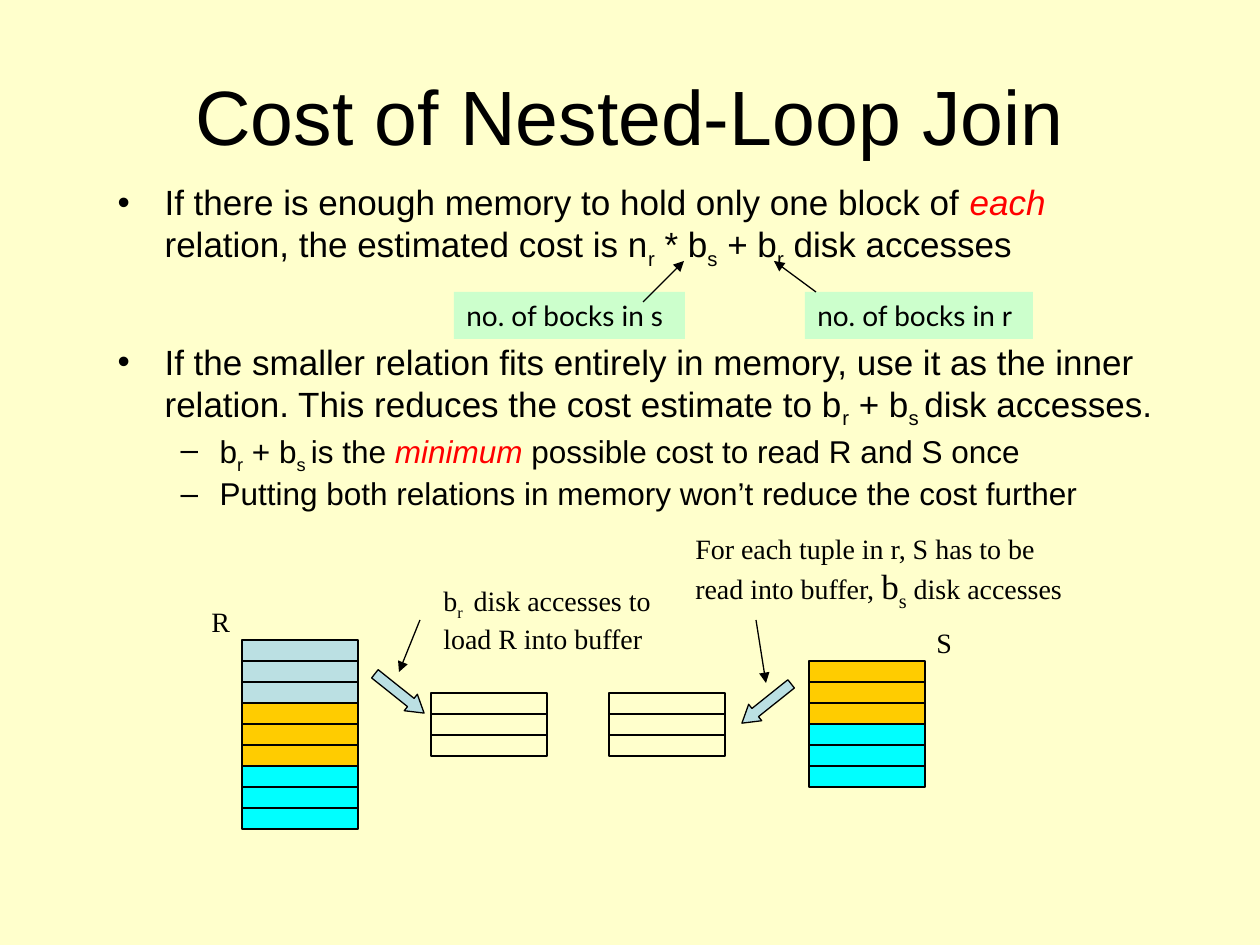
from lxml import etree
from pptx import Presentation
from pptx.dml.color import RGBColor
from pptx.enum.shapes import MSO_CONNECTOR, MSO_SHAPE
from pptx.enum.text import MSO_ANCHOR, MSO_AUTO_SIZE, PP_ALIGN
from pptx.oxml.ns import qn
from pptx.util import Inches, Pt

STRAIGHT = MSO_CONNECTOR.STRAIGHT
RECTANGLE, RIGHT_ARROW = MSO_SHAPE.RECTANGLE, MSO_SHAPE.RIGHT_ARROW
MIDDLE, TOP = MSO_ANCHOR.MIDDLE, MSO_ANCHOR.TOP
NO_AUTOSIZE = MSO_AUTO_SIZE.NONE
CENTER = PP_ALIGN.CENTER

SCALE = Inches(1) / 126
BLACK, RED, CREAM = "000000", "FF0000", "FFFFCC"
PALE_BLUE, GOLD, CYAN, MINT = "BBE0E3", "FFCC00", "00FFFF", "CCFFCC"
BLOCK_WIDTH, BLOCK_HEIGHT = 116, 21
SUB = {"subscript": True}
EMPHASIS = {"color": RED, "italic": True}

BULLETS = [
    (0, 0, [("If there is enough memory to hold only one block of ", {}),
            ("each", EMPHASIS),
            (" relation, the estimated cost is n", {}), ("r", SUB),
            (" * b", {}), ("s", SUB), (" + b", {}), ("r", SUB),
            (" disk accesses", {})]),
    (0, 45, [("If the smaller relation fits entirely in memory, use it as the "
              "inner relation. This reduces the cost estimate to b", {}),
             ("r", SUB), (" + b", {}), ("s ", SUB), ("disk accesses.", {})]),
    (1, 4, [("b", {}), ("r", SUB), (" + b", {}), ("s ", SUB), ("is the ", {}),
            ("minimum", EMPHASIS),
            (" possible cost to read R and S once", {})]),
    (1, 4, [("Putting both relations in memory won’t reduce the cost further", {})]),
]
BULLET_LEVELS = [("•", 20, 47, 47), ("–", 18, 102, 39)]

STACKS = [
    (242, 640, [PALE_BLUE] * 3 + [GOLD] * 3 + [CYAN] * 3),
    (431, 693, [None] * 3),
    (609, 693, [None] * 3),
    (809, 661, [GOLD] * 3 + [CYAN] * 3),
]
NOTES = [
    ((431, 577, 236, 81), [
        [("b", {}), ("r ", SUB), (" disk accesses to", {})],
        [("load R into buffer", {})]]),
    ((199, 598, 44, 47), [[("R", {})]]),
    ((924, 619, 40, 47), [[("S", {})]]),
    ((683, 525, 401, 89), [
        [("For each tuple in r, S has to be", {})],
        [("read into buffer, ", {}), ("b", {"size": 20}),
         ("s", {"size": 20, "subscript": True}), (" disk accesses", {})]]),
]
COST_LABELS = [
    ((805, 292, 228, 47), "no. of bocks in r"),
    ((454, 292, 231, 47), "no. of bocks in s"),
]
POINTERS = [
    ((420, 620), (399, 672)),
    ((756, 620), (766, 683)),
    ((816, 292), (774, 261)),
    ((643, 302), (684, 261)),
]
LOAD_ARROWS = [((368, 683, 63, 21), 38.6), ((735, 693, 63, 21), 141.4)]


def px(*lengths):
    """Turn pixel lengths into a list of EMU."""
    return [round(length * SCALE) for length in lengths]


def rgb(color):
    """Return the colour for a hex string."""
    return RGBColor.from_string(color)


def write_runs(paragraph, runs, font_name, size):
    """Add styled runs to a paragraph."""
    for text, style in runs:
        run = paragraph.add_run()
        run.text = text
        run.font.name = font_name
        run.font.size = Pt(style.get("size", size))
        run.font.italic = style.get("italic", False)
        run.font.color.rgb = rgb(style.get("color", BLACK))
        if style.get("subscript"):
            run.font._element.set("baseline", "-25000")


def place(shape, box):
    """Move and size a shape to a pixel box."""
    shape.left, shape.top, shape.width, shape.height = px(*box)


def fill_title(slide, text):
    """Place and format the title."""
    title = slide.shapes.title
    place(title, (94, 73, 1072, 84))
    title.text_frame.auto_size = NO_AUTOSIZE
    title.text_frame.vertical_anchor = MIDDLE
    paragraph = title.text_frame.paragraphs[0]
    paragraph.alignment = CENTER
    write_runs(paragraph, [(text, {})], "Arial", 44)


def add_paragraphs(text_frame, count):
    """Return the given number of paragraphs in an empty text frame."""
    for _ in range(count - 1):
        text_frame.add_paragraph()
    return text_frame.paragraphs


def fill_body(slide, bullets):
    """Place the body placeholder and write its bullets."""
    body = slide.placeholders[1]
    place(body, (105, 179, 1071, 346))
    text_frame = body.text_frame
    text_frame.auto_size = NO_AUTOSIZE
    text_frame.vertical_anchor = TOP
    paragraphs = add_paragraphs(text_frame, len(bullets))
    for paragraph, (level, space_before, runs) in zip(paragraphs, bullets):
        mark, size, margin, hanging = BULLET_LEVELS[level]
        paragraph.level = level
        paragraph.line_spacing = 0.9
        paragraph.space_before = Pt(space_before)
        properties = paragraph._p.get_or_add_pPr()
        margin, hanging = px(margin, hanging)
        properties.set("marL", str(margin))
        properties.set("indent", str(-hanging))
        etree.SubElement(properties, qn("a:buChar")).set("char", mark)
        write_runs(paragraph, runs, "Arial", size)


def add_text(slide, box, lines, font_name, fill=None):
    """Add an unwrapped 16 pt text box, optionally filled."""
    text_box = slide.shapes.add_textbox(*px(*box))
    text_box.text_frame.word_wrap = False
    if fill:
        text_box.fill.solid()
        text_box.fill.fore_color.rgb = rgb(fill)
    paragraphs = add_paragraphs(text_box.text_frame, len(lines))
    for paragraph, runs in zip(paragraphs, lines):
        write_runs(paragraph, runs, font_name, 16)


def add_outlined(slide, kind, box, fill):
    """Add a preset shape with a thin black outline."""
    shape = slide.shapes.add_shape(kind, *px(*box))
    shape.shadow.inherit = False
    shape.line.color.rgb = rgb(BLACK)
    shape.line.width = Pt(0.75)
    if fill:
        shape.fill.solid()
        shape.fill.fore_color.rgb = rgb(fill)
    else:
        shape.fill.background()
    return shape


def add_stack(slide, left, top, fills):
    """Stack equal blocks downwards."""
    for row, fill in enumerate(fills):
        box = (left, top + row * BLOCK_HEIGHT, BLOCK_WIDTH, BLOCK_HEIGHT)
        add_outlined(slide, RECTANGLE, box, fill)


def add_load_arrow(slide, box, rotation):
    """Add a rotated block arrow."""
    arrow = add_outlined(slide, RIGHT_ARROW, box, PALE_BLUE)
    arrow.adjustments[1] = 0.81
    arrow.rotation = rotation


def add_pointer(slide, start, end):
    """Add a thin line with an arrowhead at its end."""
    connector = slide.shapes.add_connector(STRAIGHT, *px(*start, *end))
    connector.line.color.rgb = rgb(BLACK)
    connector.line.width = Pt(0.75)
    line = connector.line._get_or_add_ln()
    etree.SubElement(line, qn("a:tailEnd")).set("type", "triangle")
    etree.SubElement(connector._element.spPr, qn("a:effectLst"))


def main():
    """Build and save the slide."""
    presentation = Presentation()
    presentation.slide_width, presentation.slide_height = Inches(10), Inches(7.5)
    slide = presentation.slides.add_slide(presentation.slide_layouts[1])
    slide.background.fill.solid()
    slide.background.fill.fore_color.rgb = rgb(CREAM)
    fill_title(slide, "Cost of Nested-Loop Join")
    fill_body(slide, BULLETS)
    for left, top, fills in STACKS:
        add_stack(slide, left, top, fills)
    for box, lines in NOTES:
        add_text(slide, box, lines, "Times New Roman")
    for box, rotation in LOAD_ARROWS:
        add_load_arrow(slide, box, rotation)
    for box, text in COST_LABELS:
        add_text(slide, box, [[(text, {})]], "Lato", MINT)
    for start, end in POINTERS:
        add_pointer(slide, start, end)
    presentation.save("out.pptx")


if __name__ == "__main__":
    main()
